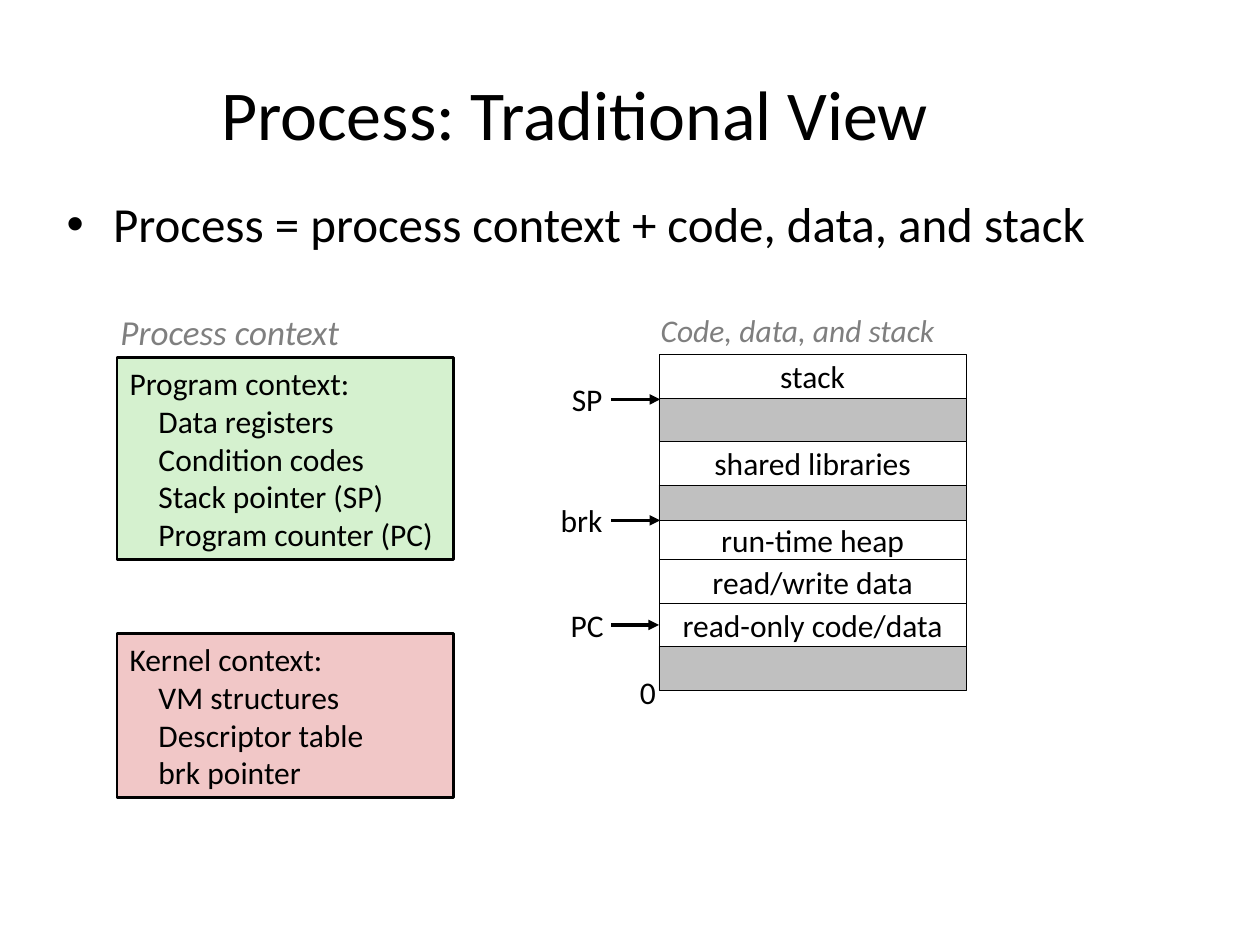
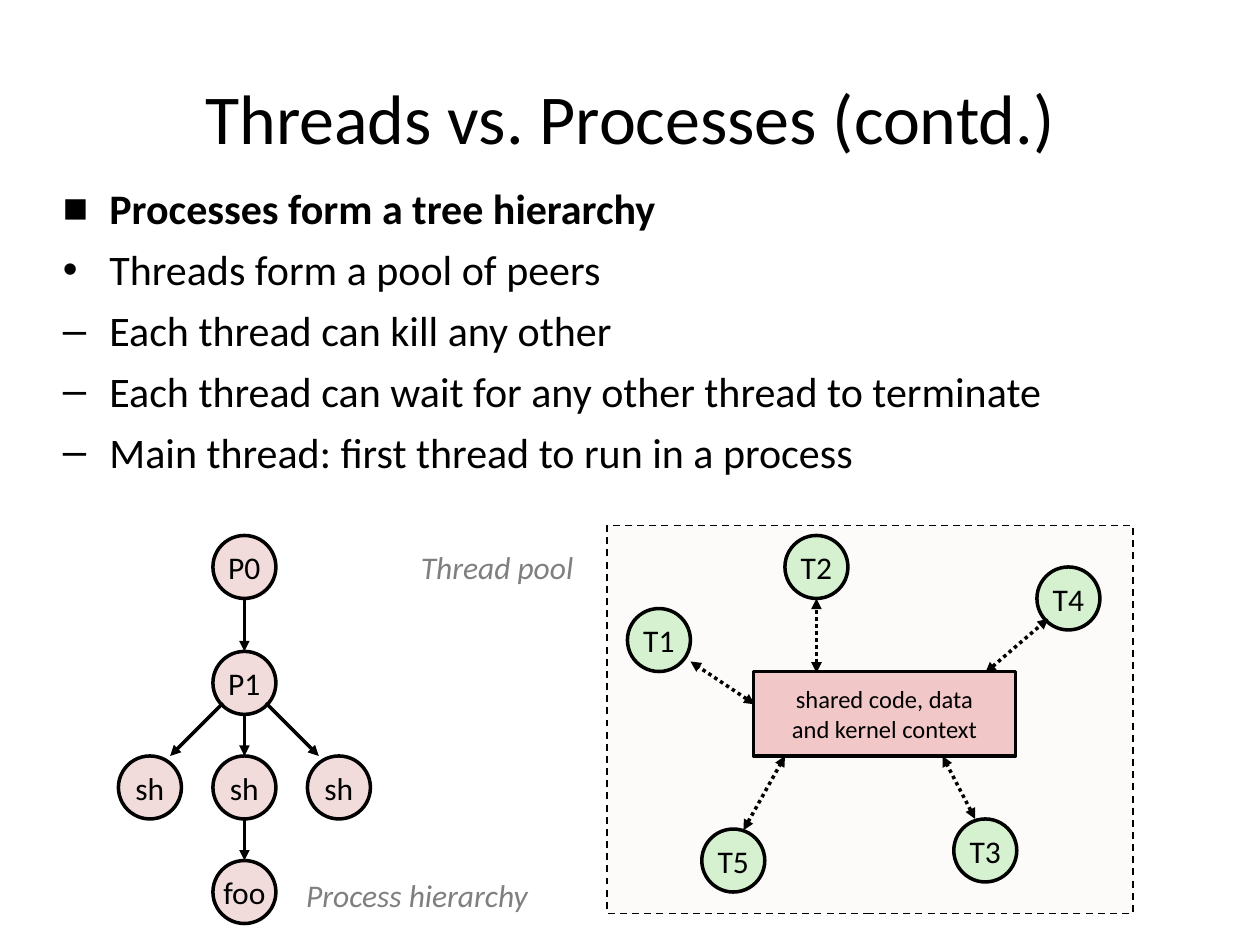
from lxml import etree
from pptx import Presentation
from pptx.dml.color import RGBColor
from pptx.enum.dml import MSO_LINE
from pptx.enum.shapes import MSO_CONNECTOR, MSO_SHAPE
from pptx.enum.text import MSO_ANCHOR, MSO_AUTO_SIZE, PP_ALIGN
from pptx.oxml.ns import qn
from pptx.util import Inches, Pt

RECT, OVAL = MSO_SHAPE.RECTANGLE, MSO_SHAPE.OVAL
STRAIGHT = MSO_CONNECTOR.STRAIGHT
LEFT, CENTER = PP_ALIGN.LEFT, PP_ALIGN.CENTER
TOP, MIDDLE = MSO_ANCHOR.TOP, MSO_ANCHOR.MIDDLE
DASH, DOT = MSO_LINE.DASH, MSO_LINE.ROUND_DOT
NO_FIT = MSO_AUTO_SIZE.NONE

BLACK = RGBColor(0x00, 0x00, 0x00)
WHITE = RGBColor(0xFF, 0xFF, 0xFF)
GRAY = RGBColor(0x7F, 0x7F, 0x7F)
SILVER = RGBColor(0xC0, 0xC0, 0xC0)
GREEN = RGBColor(0xD5, 0xF1, 0xCF)
PINK = RGBColor(0xF1, 0xC7, 0xC7)
ROSE = RGBColor(0xF2, 0xDC, 0xDB)
CREAM = RGBColor(0xFC, 0xFB, 0xF9)
FONT = "Calibri"


def put(page, text, at, kind=None, fill=None, line=2, dash=None, size=18,
        color=BLACK, italic=False, align=CENTER, anchor=MIDDLE, wrap=False,
        bullets="", before=0, inset=0):
    """Place text in a shape, a text box or the title; return the shape."""
    left, top, width, height = [Inches(v) for v in at]
    if kind == "title":
        shape = page.shapes.title
        shape.left, shape.top, shape.width, shape.height = left, top, width, height
    elif kind is None:
        shape = page.shapes.add_textbox(left, top, width, height)
    else:
        shape = page.shapes.add_shape(kind, left, top, width, height)
        shape.shadow.inherit = False
        shape.fill.solid()
        shape.fill.fore_color.rgb = fill
        shape.line.color.rgb = BLACK
        shape.line.width = Pt(line)
        if dash:
            shape.line.dash_style = dash
    frame = shape.text_frame
    frame.text = text
    frame.word_wrap, frame.auto_size = wrap, NO_FIT
    frame.vertical_anchor = anchor
    for i, para in enumerate(frame.paragraphs):
        para.alignment = align
        para.space_before = Pt(before)
        for run in para.runs:
            font = run.font
            font.name, font.size, font.italic = FONT, Pt(size), italic
            font.bold = bullets[i:i + 1] == "■"
            font.color.rgb = color
        props = para._p.get_or_add_pPr()
        if bullets:
            props.set("marL", str(Inches(0.37)))
            props.set("indent", str(-Inches(0.37)))
            etree.SubElement(props, qn("a:buFont"), typeface="Arial")
            etree.SubElement(props, qn("a:buChar"), char=bullets[i])
        elif inset and i:
            props.set("marL", str(Inches(inset)))
    return shape


def link(page, start, end, dash=None, both=False):
    """Draw an arrow from start to end, with a second head if both is set."""
    wire = page.shapes.add_connector(STRAIGHT, *[Inches(v) for v in start + end])
    wire.line.color.rgb = BLACK
    wire.line.width = Pt(2)
    if dash:
        wire.line.dash_style = dash
    stroke = wire.line._get_or_add_ln()
    if both:
        etree.SubElement(stroke, qn("a:headEnd"), type="triangle")
    etree.SubElement(stroke, qn("a:tailEnd"), type="triangle")
    etree.SubElement(wire._element.spPr, qn("a:effectLst"))
    return wire


deck = Presentation()
deck.slide_width, deck.slide_height = Inches(10), Inches(7.5)
layout = deck.slide_layouts[5]

# Slide 1: process context beside the memory layout
page = deck.slides.add_slide(layout)
put(page, "Process: Traditional View", (0.41, 0.48, 8.3, 0.83), "title",
    size=40, wrap=True)
put(page, "Process = process context + code, data, and stack",
    (0.43, 1.49, 8.64, 0.59), size=28, align=LEFT, anchor=TOP, wrap=True,
    bullets="•", before=7)

# Context boxes
put(page, "Process context", (0.85, 2.41, 1.95, 0.44), size=20, color=GRAY,
    italic=True)
contexts = [
    ("Program context:\nData registers\nCondition codes\n"
     "Stack pointer (SP)\nProgram counter (PC)", 2.84, 1.6, GREEN),
    ("Kernel context:\nVM structures\nDescriptor table\nbrk pointer",
     5.03, 1.3, PINK),
]
for text, top, height, fill in contexts:
    put(page, text, (0.93, top, 2.67, height), RECT, fill, line=1.5,
        align=LEFT, anchor=TOP, wrap=True, inset=0.23)

# Memory segments, stacked downwards; unnamed ones are unused space
put(page, "Code, data, and stack", (5.14, 2.42, 2.38, 0.4), color=GRAY,
    italic=True)
segments = [
    ("stack", 0.35), ("", 0.34), ("shared libraries", 0.35), ("", 0.28),
    ("run-time heap", 0.31), ("read/write data", 0.35),
    ("read-only code/data", 0.34), ("", 0.35),
]
top = 2.81
parts = {}
for text, height in segments:
    parts[text] = put(page, text, (5.23, top, 2.44, height), RECT,
                      WHITE if text else SILVER, line=0.25)
    top += height

# Pointers into memory
wires = {}
for text, left, width, y in [("SP", 4.44, 0.44, 3.17), ("brk", 4.35, 0.53, 4.13),
                             ("PC", 4.43, 0.46, 4.96)]:
    put(page, text, (left, y - 0.2, width, 0.4))
    wires[text] = link(page, (4.85, y), (5.24, y))
wires["PC"].end_connect(parts["read-only code/data"], 1)
put(page, "0", (4.98, 5.29, 0.32, 0.4), align=LEFT, anchor=TOP)

# Slide 2: process tree beside the thread pool
page = deck.slides.add_slide(layout)
put(page, "", (4.82, 4.17, 4.17, 3.08), RECT, CREAM, line=1, dash=DASH)
put(page, "Threads vs. Processes (contd.)", (0.5, 0.3, 9, 1.25), "title",
    size=40, wrap=True)
put(page, "Processes form a tree hierarchy\n"
    "Threads form a pool of peers\n"
    "Each thread can kill any other\n"
    "Each thread can wait for any other thread to terminate\n"
    "Main thread: first thread to run in a process",
    (0.4, 1.4, 8.64, 5.44), size=24, align=LEFT, anchor=TOP, wrap=True,
    bullets="■•–––", before=6)

# Process tree: the middle column is a chain, with a child on each side
chain = []
for text, top in [("P0", 4.25), ("P1", 5.17), ("sh", 6), ("foo", 6.83)]:
    node = put(page, text, (1.69, top, 0.5, 0.5), OVAL, ROSE)
    if chain:
        wire = link(page, (1.94, chain[-1] + 0.5), (1.94, top))
        wire.end_connect(node, 0)
    chain.append(top)
for side in (-1, 1):
    put(page, "sh", (1.69 + side * 0.75, 6, 0.5, 0.5), OVAL, ROSE)
    link(page, (1.94 + side * 0.17, 5.58), (1.94 + side * 0.59, 6))
put(page, "Process hierarchy", (2.33, 6.9, 1.96, 0.4), color=GRAY, italic=True)

# Thread pool around the shared context
put(page, "Thread pool", (3.24, 4.3, 1.41, 0.4), color=GRAY, italic=True)
put(page, "shared code, data\nand kernel context", (5.98, 5.33, 2.08, 0.67),
    RECT, PINK, size=14)
threads = [
    ("T1", 4.98, 4.83, (5.99, 5.59), (5.48, 5.25)),
    ("T2", 6.23, 4.25, (6.48, 5.34), (6.48, 4.75)),
    ("T3", 7.57, 6.5, (7.74, 6.5), (7.48, 6)),
    ("T4", 8.23, 4.5, (7.82, 5.34), (8.32, 4.91)),
    ("T5", 5.57, 6.58, (5.9, 6.59), (6.23, 6)),
]
for text, left, top, start, end in threads:
    put(page, text, (left, top, 0.5, 0.5), OVAL, GREEN)
    link(page, start, end, dash=DOT, both=True)

deck.save("out.pptx")
